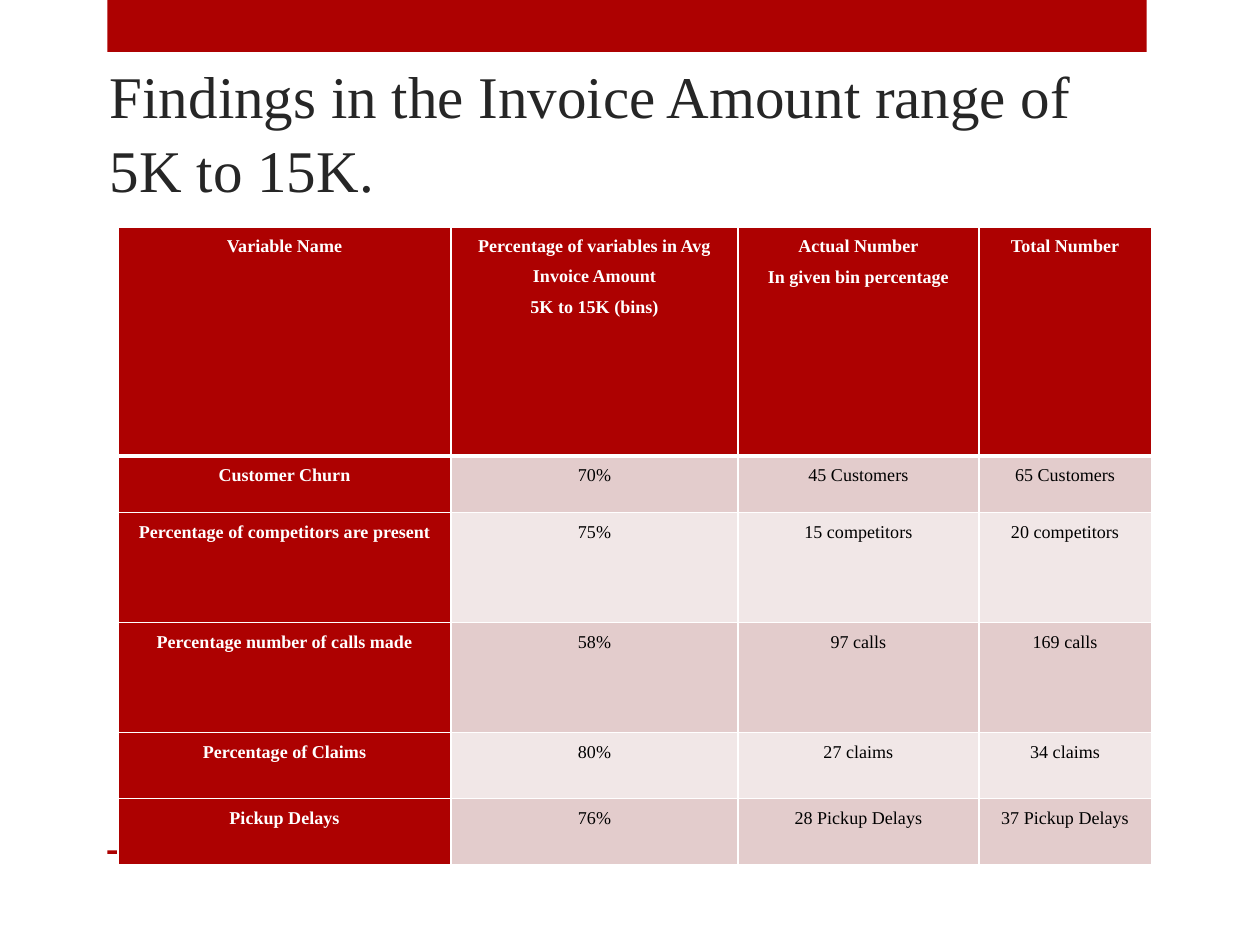
from lxml import etree
from pptx import Presentation
from pptx.dml.color import RGBColor
from pptx.enum import shapes, text
from pptx.oxml import ns
from pptx.util import Inches, Pt

RED = RGBColor(0xAD, 0x01, 0x01)
ROSE = RGBColor(0xE3, 0xCC, 0xCC)
PALE = RGBColor(0xF1, 0xE7, 0xE7)
WHITE = RGBColor(0xFF, 0xFF, 0xFF)
BLACK = RGBColor(0, 0, 0)
CHARCOAL = RGBColor(0x26, 0x26, 0x26)
FONT = "Times New Roman"

COLUMN_WIDTHS = [2.82, 2.43, 2.04, 1.46]
ROW_HEIGHTS = [1.94, 0.48, 0.93, 0.93, 0.56, 0.56]
# Each line of a cell is a paragraph
FINDINGS = [
    ["Variable Name", "Percentage of variables in Avg Invoice Amount\n5K to 15K (bins)",
     "Actual Number\nIn given bin percentage", "Total Number"],
    ["Customer Churn", "70%", "45 Customers", "65 Customers"],
    ["Percentage of competitors are present", "75%", "15 competitors", "20 competitors"],
    ["Percentage number of calls made", "58%", "97 calls", "169 calls"],
    ["Percentage of Claims", "80%", "27 claims", "34 claims"],
    ["Pickup Delays", "76%", "28 Pickup Delays", "37 Pickup Delays"],
]


def add_span(para, wording, size, color, bold=False):
    span = para.add_run()
    span.text = wording
    span.font.name = FONT
    span.font.size = Pt(size)
    span.font.bold = bold
    span.font.color.rgb = color


def add_bar(page, box):
    bar = page.shapes.add_shape(shapes.MSO_SHAPE.RECTANGLE, *map(Inches, box))
    bar.shadow.inherit = False
    bar.fill.solid()
    bar.fill.fore_color.rgb = RED
    bar.line.fill.background()


def fill_title(page, box, wording):
    title = page.shapes.title
    title.left, title.top, title.width, title.height = map(Inches, box)
    frame = title.text_frame
    frame.auto_size = text.MSO_AUTO_SIZE.NONE
    frame.word_wrap = True
    frame.vertical_anchor = text.MSO_ANCHOR.BOTTOM
    frame.margin_left = frame.margin_right = frame.margin_bottom = 0
    frame.margin_top = Inches(0.02)
    para = frame.paragraphs[0]
    para.alignment = text.PP_ALIGN.LEFT
    para.line_spacing = 1.05
    para.space_before = Pt(1.3)
    para._p.get_or_add_pPr().set("marL", str(Inches(0.01)))
    add_span(para, wording, 36, CHARCOAL)


def add_borders(cell, bottom_width):
    properties = cell._tc.get_or_add_tcPr()
    widths = {"a:lnL": 1, "a:lnR": 1, "a:lnT": 1, "a:lnB": bottom_width}
    # Border lines come before the fill in the cell properties
    for position, (tag, width) in enumerate(widths.items()):
        line = etree.Element(ns.qn(tag), w=str(Pt(width)))
        fill = etree.SubElement(line, ns.qn("a:solidFill"))
        etree.SubElement(fill, ns.qn("a:srgbClr"), val=str(WHITE))
        properties.insert(position, line)


def fill_cell(cell, wording, row, column):
    is_heading = row == 0 or column == 0
    cell.margin_left = cell.margin_right = Inches(0.07)
    cell.margin_top = cell.margin_bottom = 0
    cell.fill.solid()
    cell.fill.fore_color.rgb = RED if is_heading else ROSE if row % 2 else PALE
    add_borders(cell, 3 if row == 0 else 1)
    for index, line in enumerate(wording.split("\n")):
        frame = cell.text_frame
        para = frame.add_paragraph() if index else frame.paragraphs[0]
        para.alignment = text.PP_ALIGN.CENTER
        para.line_spacing = 1.49
        para.space_after = Pt(0.8)
        add_span(para, line, 11, WHITE if is_heading else BLACK, is_heading)


def add_findings_table(page, box):
    table = page.shapes.add_table(
        len(ROW_HEIGHTS), len(COLUMN_WIDTHS), *map(Inches, box)).table
    table.first_col = True
    for column, width in zip(table.columns, COLUMN_WIDTHS):
        column.width = Inches(width)
    for row, height in zip(table.rows, ROW_HEIGHTS):
        row.height = Inches(height)
    for row, wordings in enumerate(FINDINGS):
        for column, wording in enumerate(wordings):
            fill_cell(table.cell(row, column), wording, row, column)


def main():
    deck = Presentation()
    deck.slide_width, deck.slide_height = Inches(10.67), Inches(8)
    page = deck.slides.add_slide(deck.slide_layouts.get_by_name("Title Only"))
    # Top band and footer rule
    add_bar(page, (0.91, 0, 8.8, 0.44))
    add_bar(page, (0.91, 7.2, 8.8, 0.03))
    # Title and findings
    fill_title(page, (0.92, 0.5, 8.75, 1.23),
               "Findings in the Invoice Amount range of 5K to 15K.")
    add_findings_table(page, (1, 1.92, 8.75, 5.38))
    deck.save("out.pptx")


if __name__ == "__main__":
    main()
